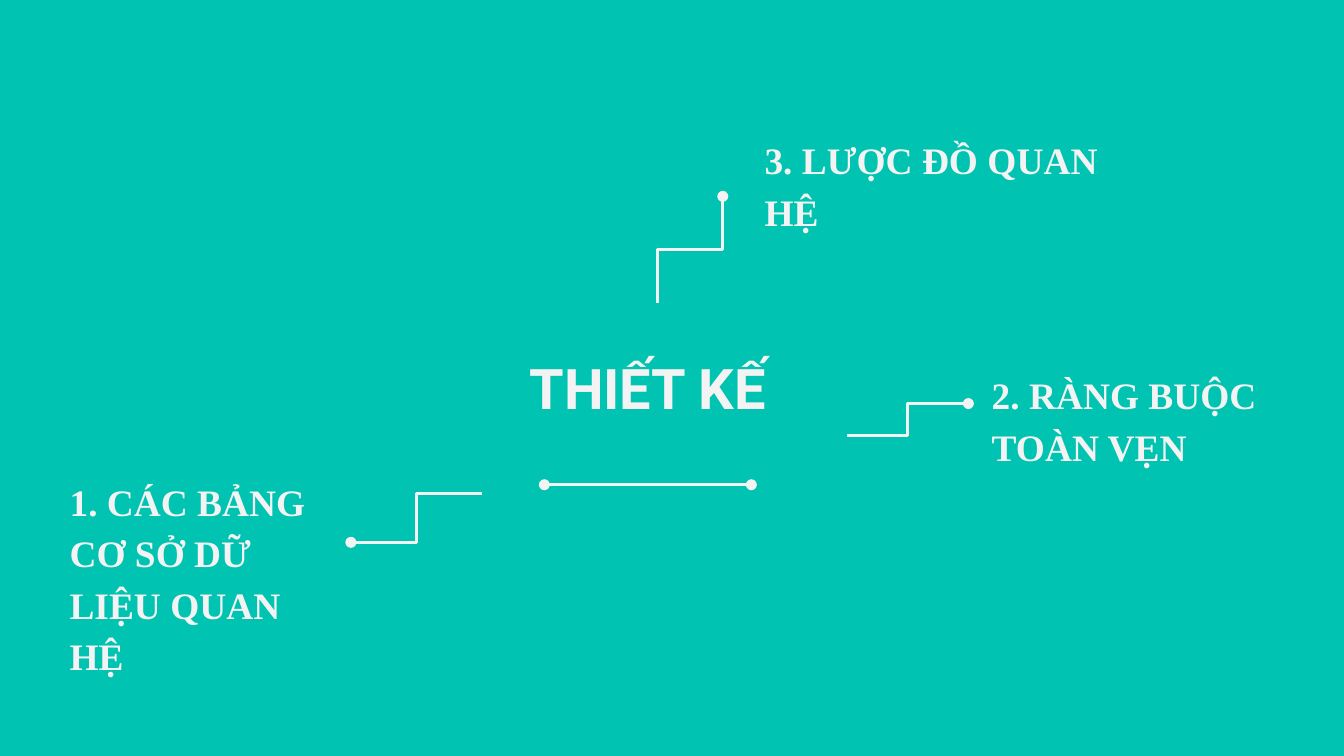
from lxml import etree
from pptx import Presentation
from pptx.dml.color import RGBColor
from pptx.enum.shapes import MSO_CONNECTOR
from pptx.enum.text import MSO_ANCHOR, MSO_AUTO_SIZE, PP_ALIGN
from pptx.oxml.ns import qn
from pptx.util import Pt

TEAL = RGBColor(0x00, 0xC3, 0xB1)
PALE = RGBColor(0xF3, 0xF3, 0xF3)
ELBOW, STRAIGHT = MSO_CONNECTOR.ELBOW, MSO_CONNECTOR.STRAIGHT
TOP, MIDDLE = MSO_ANCHOR.TOP, MSO_ANCHOR.MIDDLE
CENTER, LEFT = PP_ALIGN.CENTER, PP_ALIGN.LEFT
NO_AUTOFIT = MSO_AUTO_SIZE.NONE

# Content: boxes are left, top, width, height in points
TITLE = ("THIẾT KẾ", (223.2, 182.2, 247.7, 68.4))
TOPICS = [
    ("1. CÁC BẢNG CƠ SỞ DỮ LIỆU QUAN HỆ", (30.2, 244.8, 152.6, 112.3)),
    ("2. RÀNG BUỘC TOÀN VẸN", (524.2, 182.2, 170.6, 68.4)),
    ("3. LƯỢC ĐỒ QUAN HỆ", (402.5, 61.9, 208.1, 56.9)),
]
# Elbows run from the dot at a topic towards the title
ELBOWS = [
    ((188, 290.6), (258.3, 264.3), False),
    ((518.8, 216.2), (453.8, 233.3), False),
    ((387.2, 105.2), (352.3, 162.2), True),  # leaves vertically
]
UNDERLINE = ((402.5, 259.7), (291.6, 259.7))


def write(sp, text, box, font, size, anchor, align, top_inset, spacing):
    sp.left, sp.top, sp.width, sp.height = map(Pt, box)
    tf = sp.text_frame
    tf.word_wrap, tf.auto_size, tf.vertical_anchor = True, NO_AUTOFIT, anchor
    tf.margin_left = tf.margin_right = tf.margin_bottom = Pt(7.2)
    tf.margin_top = Pt(top_inset)
    p = tf.paragraphs[0]
    p.text, p.alignment, p.line_spacing = text, align, spacing
    p.font.name, p.font.size, p.font.bold = font, Pt(size), True
    p.font.color.rgb = PALE


def connect(kind, start, end, dots):
    cxn = slide.shapes.add_connector(kind, *map(Pt, start + end))
    cxn.line.color.rgb, cxn.line.width = PALE, Pt(1.5)
    for tag in dots:
        etree.SubElement(cxn.line._ln, qn(tag), type="oval")
    etree.SubElement(cxn._element.spPr, qn("a:effectLst"))
    return cxn


def connect_vertical(start, end):
    """Lay the elbow out sideways about its centre, then turn it by 90 degrees."""
    (x1, y1), (x2, y2) = start, end
    cx, cy = (x1 + x2) / 2, (y1 + y2) / 2
    dx, dy = (y2 - y1) / 2, (x1 - x2) / 2
    cxn = connect(ELBOW, (cx - dx, cy - dy), (cx + dx, cy + dy), ["a:headEnd"])
    cxn._element.spPr.find(qn("a:xfrm")).set("rot", str(90 * 60000))


prs = Presentation()
prs.slide_width, prs.slide_height = Pt(720), Pt(405)
slide = prs.slides.add_slide(prs.slide_layouts[5])
slide.background.fill.solid()
slide.background.fill.fore_color.rgb = TEAL

# Title and topics
write(slide.shapes.title, *TITLE, "Roboto", 30, TOP, CENTER, 7.2, 1.0)
for text, box in TOPICS:
    sp = slide.shapes.add_textbox(*map(Pt, box))
    write(sp, text, box, "Times New Roman", 20, MIDDLE, LEFT, 21.6, 1.15)

# Connectors
connect(STRAIGHT, *UNDERLINE, ["a:headEnd", "a:tailEnd"])
for start, end, vertical in ELBOWS:
    if vertical:
        connect_vertical(start, end)
    else:
        connect(ELBOW, start, end, ["a:headEnd"])

prs.save("out.pptx")
